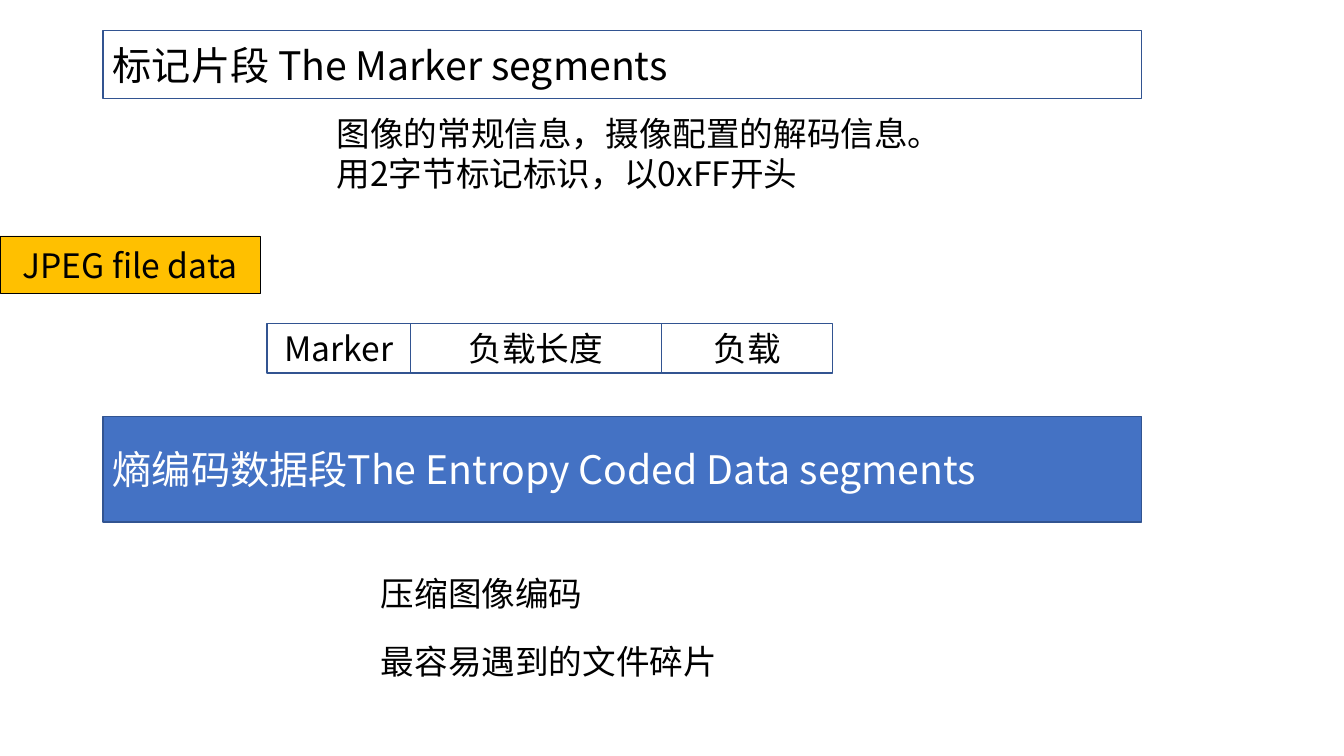
from lxml.etree import SubElement
from pptx import Presentation
from pptx.dml.color import RGBColor
from pptx.enum.shapes import MSO_SHAPE as Preset
from pptx.enum.text import MSO_ANCHOR as Anchor, PP_ALIGN as Align
from pptx.oxml.ns import qn
from pptx.util import Inches, Pt

FONT = "Noto Sans CJK SC"
BLACK = RGBColor(0x00, 0x00, 0x00)
WHITE = RGBColor(0xFF, 0xFF, 0xFF)
AMBER = RGBColor(0xFF, 0xC0, 0x00)
BLUE = RGBColor(0x44, 0x72, 0xC4)
NAVY = RGBColor(0x32, 0x54, 0x91)

SEGMENT_LEFT, SEGMENT_WIDTH = 1.02, 10.3
FIELD_LEFT, FIELD_TOP, FIELD_HEIGHT = 2.65, 3.21, 0.49
FIELDS = [("Marker", 1.42), ("负载长度", 2.49), ("负载", 1.7)]
ENTROPY_NOTES = [("压缩图像编码", 5.63, 2.22), ("最容易遇到的文件碎片", 6.31, 3.57)]


def write(para, text, size, color, align=Align.LEFT):
    """Add one run, with the font set for Latin and Chinese text alike."""
    para.alignment = align
    span = para.add_run()
    span.text = text
    span.font.size = Pt(size)
    span.font.color.rgb = color
    span.font.name = FONT
    SubElement(span.font._element, qn("a:ea"), typeface=FONT)


def add_box(page, text, left, top, width, height, fill=None, line=NAVY,
            line_width=1, size=24, color=BLACK, align=Align.CENTER):
    box = page.shapes.add_shape(Preset.RECTANGLE, Inches(left), Inches(top),
                                Inches(width), Inches(height))
    box.shadow.inherit = False
    if fill is None:
        box.fill.background()
    else:
        box.fill.solid()
        box.fill.fore_color.rgb = fill
    box.line.color.rgb = line
    box.line.width = Pt(line_width)
    box.text_frame.word_wrap = True
    box.text_frame.vertical_anchor = Anchor.MIDDLE
    write(box.text_frame.paragraphs[0], text, size, color, align)


def add_segment(page, text, top, height, fill=None, color=BLACK):
    add_box(page, text, SEGMENT_LEFT, top, SEGMENT_WIDTH, height, fill,
            size=28, color=color, align=Align.LEFT)


def add_note(page, lines, left, top, width, height):
    note = page.shapes.add_textbox(Inches(left), Inches(top),
                                   Inches(width), Inches(height))
    frame = note.text_frame
    frame.word_wrap = False
    for index, text in enumerate(lines):
        para = frame.add_paragraph() if index else frame.paragraphs[0]
        write(para, text, 24, BLACK)


def add_marker_fields(page):
    left = FIELD_LEFT
    for text, width in FIELDS:
        add_box(page, text, left, FIELD_TOP, width, FIELD_HEIGHT, WHITE)
        left += width


def main():
    deck = Presentation()
    deck.slide_width, deck.slide_height = Inches(13.33), Inches(7.5)
    page = deck.slides.add_slide(deck.slide_layouts[6])

    add_box(page, "JPEG file data", 0, 2.34, 2.58, 0.57, AMBER, BLACK, 0.25)
    add_segment(page, "标记片段 The Marker segments", 0.3, 0.68)
    add_segment(page, "熵编码数据段The Entropy Coded Data segments",
                4.13, 1.05, BLUE, WHITE)
    add_note(page, ["图像的常规信息，摄像配置的解码信息。",
                    "用2字节标记标识，以0xFF开头"], 3.24, 1.07, 6.35, 0.91)
    add_marker_fields(page)
    for text, top, width in ENTROPY_NOTES:
        add_note(page, [text], 3.68, top, width, 0.5)

    deck.save("out.pptx")


if __name__ == "__main__":
    main()
